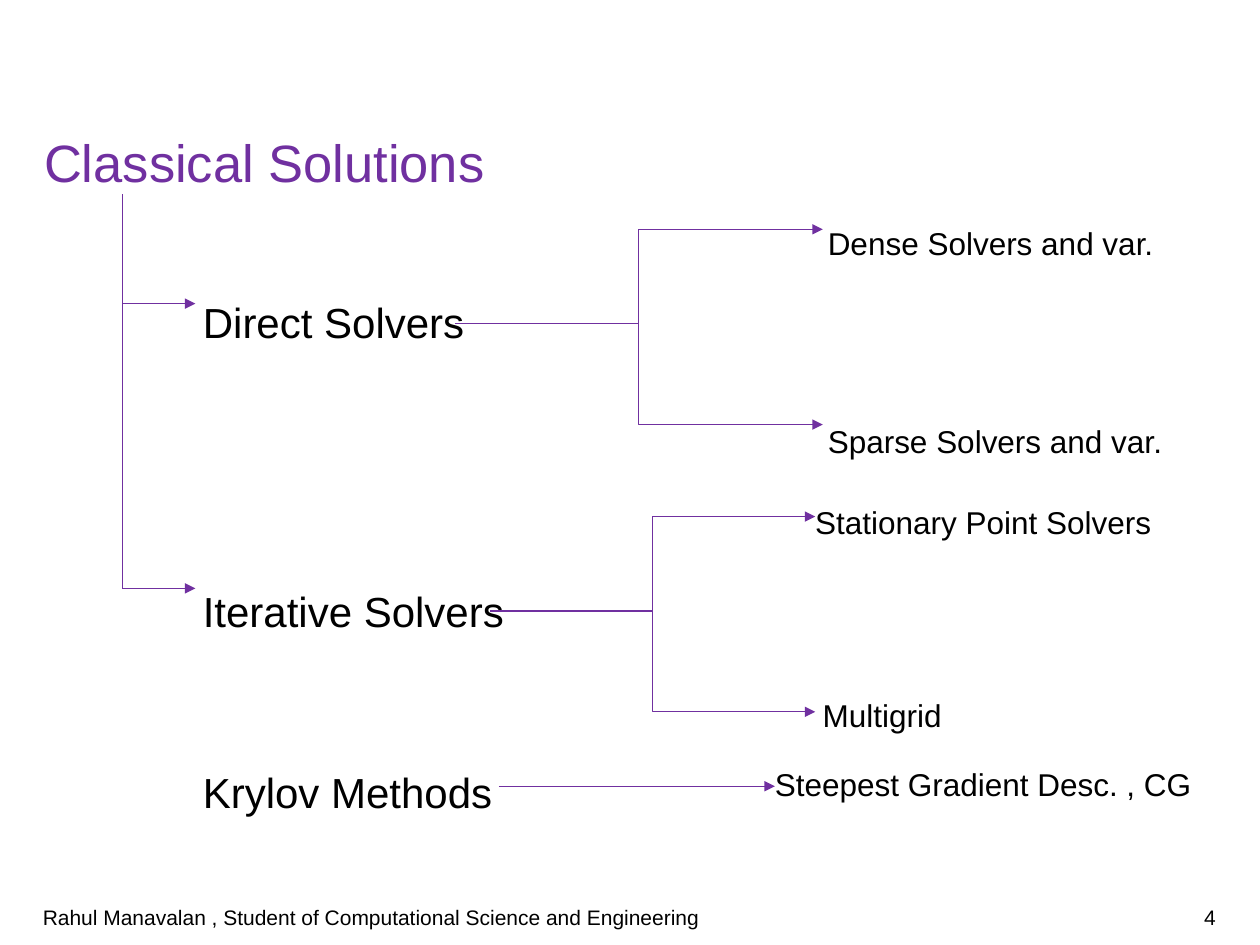
import pptx
import pptx.util
import pptx.dml.color
import pptx.enum.shapes
import pptx.enum.text
import pptx.oxml.ns
import lxml.etree

Inches, Pt = pptx.util.Inches, pptx.util.Pt
ALIGN, ANCHOR = pptx.enum.text.PP_ALIGN, pptx.enum.text.MSO_ANCHOR
CONNECTOR = pptx.enum.shapes.MSO_CONNECTOR
FONT, PURPLE, BLACK = "Arial", "7030A0", "000000"
LEFT, TRUNK, BRANCH = 0.35, 0.97, 1.61

TITLE = "Classical Solutions"
AUTHOR = "Rahul Manavalan , Student of Computational Science and Engineering"
NUMBER = "4"

# text, top, width
METHODS = [
    ("Direct Solvers", 2.3, 2.61),
    ("Iterative Solvers", 4.59, 2.61),
    ("Krylov Methods", 6.03, 4.39),
]
# text, left, top, width, height
EXAMPLES = [
    ("Dense Solvers and var.", 6.57, 1.74, 2.6, 0.66),
    ("Sparse Solvers and var.", 6.57, 3.31, 3, 0.66),
    ("Stationary Point Solvers", 6.47, 3.95, 2.93, 0.63),
    ("Multigrid", 6.53, 5.48, 2.6, 0.32),
    ("Steepest Gradient Desc. , CG", 6.15, 6.03, 3.8, 0.32),
]
TRUNK_TOP, TRUNK_ENDS = 1.54, (2.41, 4.67)
# start x, start y, end x; each fork rises and falls by the same steps
FORKS = [(3.89, 4.85, 6.47), (3.61, 2.57, 6.53)]
FORK_STEPS = (-0.75, 0.8)
KRYLOV_ARROW = (3.96, 6.24, 6.15, 6.24)


def color(value):
    """Turn a hex string into a colour."""
    return pptx.dml.color.RGBColor.from_string(value)


def write(sp, text, size, fill=BLACK, spacing=None, align=ALIGN.LEFT,
          anchor=ANCHOR.TOP, pad=0):
    """Put one formatted run into a shape."""
    tf = sp.text_frame
    tf.word_wrap = True
    tf.auto_size = pptx.enum.text.MSO_AUTO_SIZE.NONE
    tf.vertical_anchor = anchor
    tf.margin_left = tf.margin_right = 0
    tf.margin_top = tf.margin_bottom = Inches(pad)
    p = tf.paragraphs[0]
    p.alignment, p.line_spacing = align, spacing
    r = p.add_run()
    r.text = text
    r.font.name, r.font.size = FONT, Pt(size)
    r.font.color.rgb = color(fill)


def add_text(s, box, text, size, **style):
    """Add a text box at left, top, width, height."""
    sp = s.shapes.add_textbox(*map(Inches, box))
    write(sp, text, size, **style)


def add_line(s, x1, y1, x2, y2, kind=CONNECTOR.STRAIGHT, arrow=True):
    """Add a thin purple connector, with an arrowhead at its end if asked."""
    sp = s.shapes.add_connector(kind, *map(Inches, (x1, y1, x2, y2)))
    sp.line.color.rgb = color(PURPLE)
    sp.line.width = Pt(0.75)
    qn = pptx.oxml.ns.qn
    pr = sp.line._get_or_add_ln().getparent()
    if arrow:
        lxml.etree.SubElement(pr.find(qn("a:ln")), qn("a:tailEnd"), type="triangle")
    lxml.etree.SubElement(pr, qn("a:effectLst"))


prs = pptx.Presentation()
prs.slide_width, prs.slide_height = Inches(10), Inches(7.5)
s = prs.slides.add_slide(prs.slide_layouts[5])

title = s.shapes.title
title.left, title.top, title.width, title.height = map(Inches, (LEFT, 1.09, 9.31, 0.45))
write(title, TITLE, 30, fill=PURPLE, spacing=Pt(32))

add_text(s, (0.34, 7.08, 7.07, 0.4), AUTHOR, 12, anchor=ANCHOR.MIDDLE, pad=0.05)
add_text(s, (7.41, 7.08, 2.24, 0.4), NUMBER, 12, align=ALIGN.RIGHT,
         anchor=ANCHOR.MIDDLE, pad=0.05)

for text, top, width in METHODS:
    add_text(s, (BRANCH, top, width, 0.42), text, 24, spacing=1.14)
for text, *box in EXAMPLES:
    add_text(s, box, text, 18, spacing=1.14)

add_line(s, TRUNK, TRUNK_TOP, TRUNK, TRUNK_ENDS[-1], arrow=False)
for y in TRUNK_ENDS:
    add_line(s, TRUNK, y, 1.55, y)
for x1, y, x2 in FORKS:
    for step in FORK_STEPS:
        add_line(s, x1, y, x2, y + step, CONNECTOR.ELBOW)
add_line(s, *KRYLOV_ARROW)

prs.save("out.pptx")
